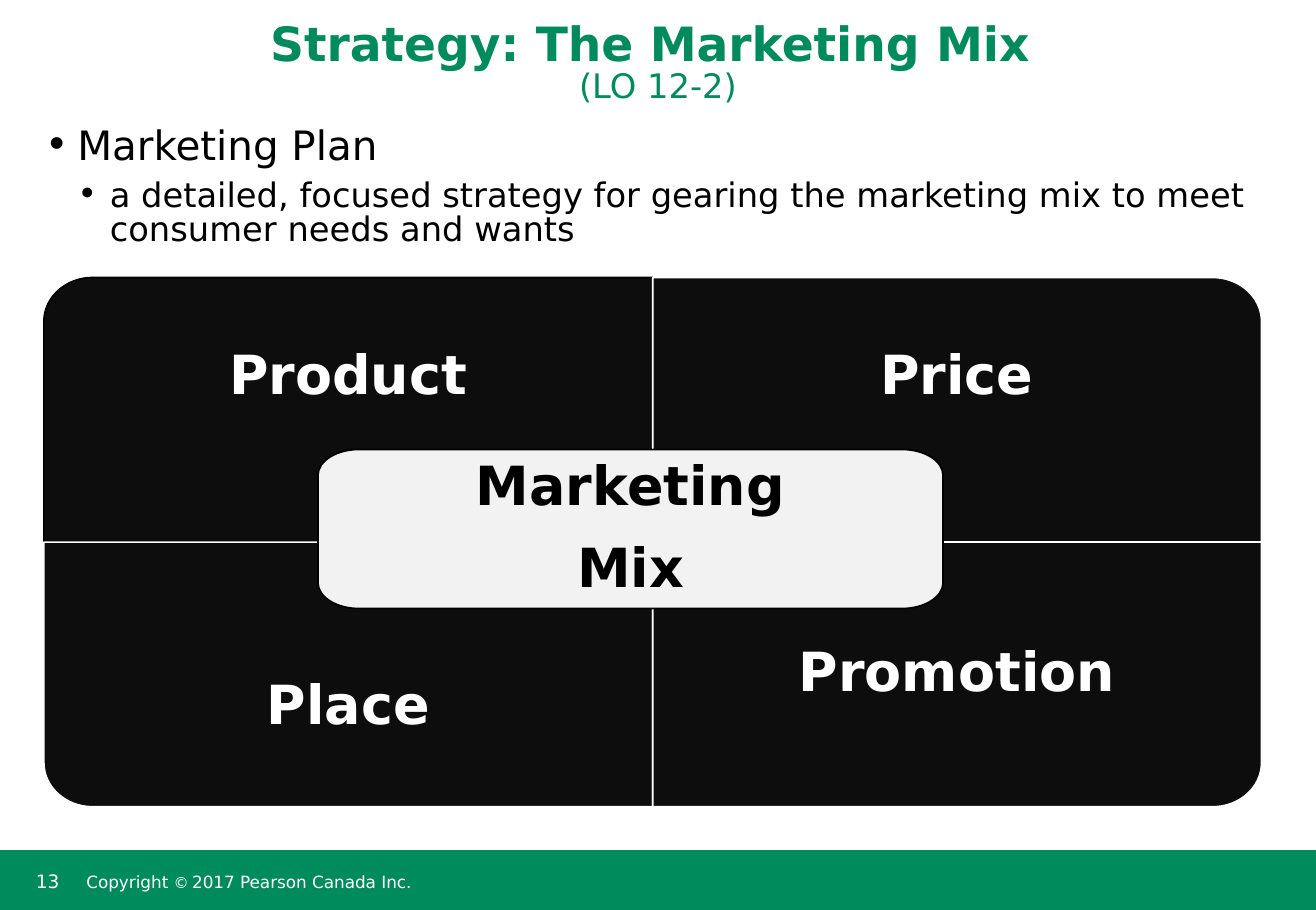
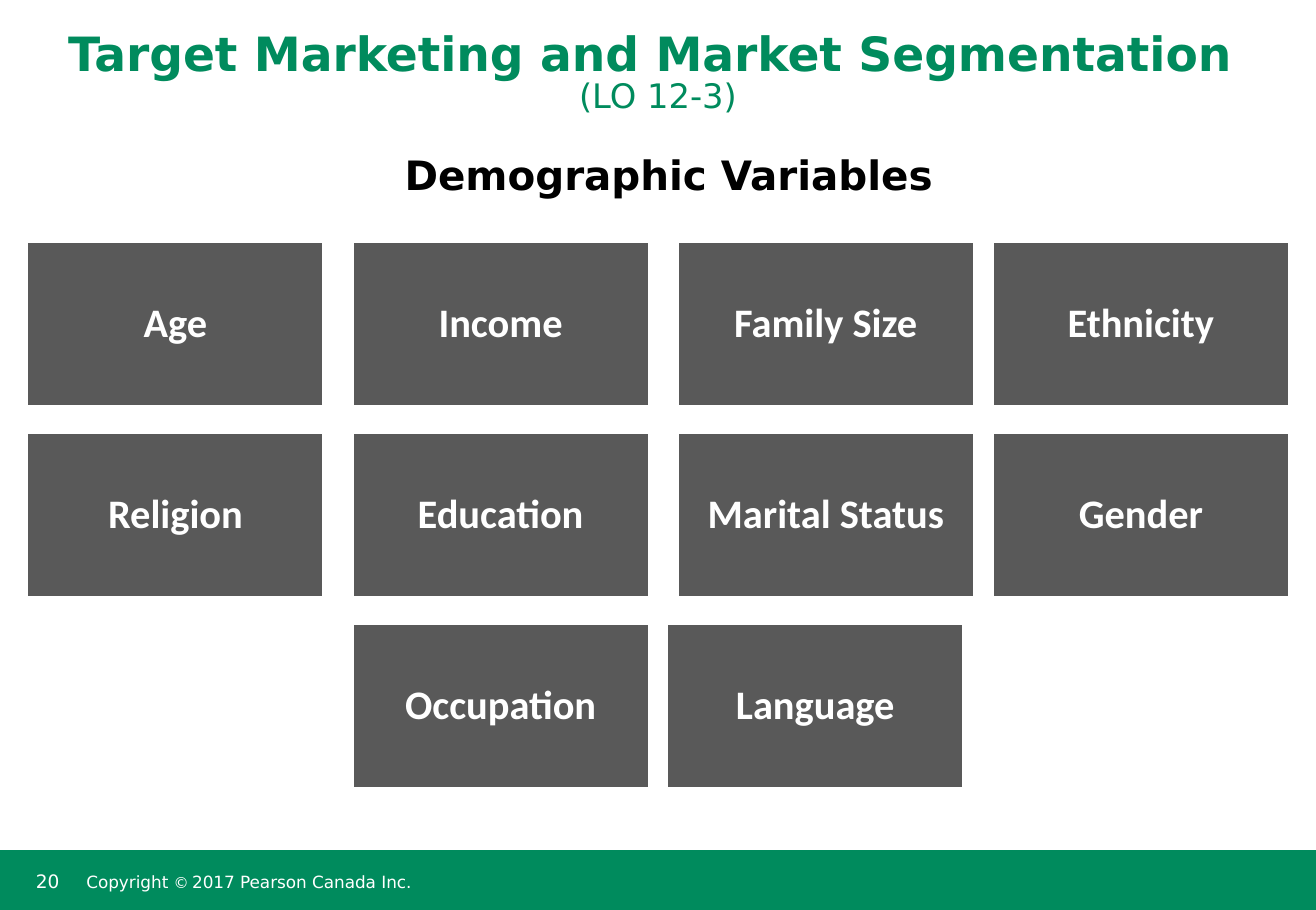
from dataclasses import dataclass

from lxml.etree import SubElement
from pptx import Presentation
from pptx.dml.color import RGBColor
from pptx.enum.shapes import MSO_SHAPE
from pptx.enum.text import MSO_ANCHOR, PP_ALIGN
from pptx.oxml.ns import qn
from pptx.util import Cm, Pt

GREEN = "008B5D"
WHITE = "FFFFFF"
BLACK = "000000"
CHARCOAL = "0D0D0D"
LIGHT_GREY = "F2F2F2"
DARK_GREY = "595959"
HEADING_FONT = "DejaVu Sans"
CARD_FONT = "Calibri"
SLIDE_WIDTH = 27.56
SLIDE_HEIGHT = 19.05
BULLET_INDENT = 0.68
CURVE_PULL = 0.55


@dataclass(frozen=True)
class Box:
    left: float
    top: float
    width: float
    height: float


@dataclass(frozen=True)
class TextRun:
    text: str
    size: float
    color: str = BLACK
    bold: bool = False
    font: str = HEADING_FONT
    break_after: bool = False


@dataclass(frozen=True)
class TextParagraph:
    runs: tuple[TextRun, ...]
    centered: bool = True
    line_spacing: float = 0.85
    space_after: float = 6.5
    bullet_level: int = 0


@dataclass(frozen=True)
class Insets:
    left: float = 0.25
    top: float = 0.13
    right: float = 0.25
    bottom: float = 0.13


@dataclass(frozen=True)
class Quadrant:
    label: str
    column: int
    row: int
    rounded_corner: int
    line: str
    insets: Insets


QUADRANTS = (
    Quadrant("Product", 0, 0, 0, BLACK, Insets(0.64, 0.64, 0.64, 2.01)),
    Quadrant("Price", 1, 0, 1, WHITE, Insets(0.64, 0.64, 0.64, 2.01)),
    Quadrant("Place", 0, 1, 3, WHITE, Insets(0.64, 2.01, 0.64, 0.64)),
    Quadrant("Promotion", 1, 1, 2, WHITE, Insets(0.64, 2.01, 0.64, 2.03)),
)

VARIABLE_ROWS = (
    ((0.58, "Age"), (7.39, "Income"), (14.2, "Family Size"), (20.8, "Ethnicity")),
    ((0.58, "Religion"), (7.39, "Education"), (14.2, "Marital Status"), (20.8, "Gender")),
    ((7.39, "Occupation"), (13.98, "Language")),
)


def rgb(color: str) -> RGBColor:
    return RGBColor.from_string(color)


def add_bullet(paragraph, level: int) -> None:
    properties = paragraph._p.get_or_add_pPr()
    properties.set("marL", str(Cm(BULLET_INDENT * level)))
    properties.set("indent", str(-Cm(BULLET_INDENT)))
    paragraph.level = level - 1
    color = SubElement(properties, qn("a:buClr"))
    SubElement(color, qn("a:srgbClr")).set("val", BLACK)
    SubElement(properties, qn("a:buFont")).set("typeface", HEADING_FONT)
    SubElement(properties, qn("a:buChar")).set("char", "•")


def write_text(shape, paragraphs: list[TextParagraph], anchor: MSO_ANCHOR,
               insets: Insets) -> None:
    frame = shape.text_frame
    frame.word_wrap = True
    frame.vertical_anchor = anchor
    frame.margin_left, frame.margin_top = Cm(insets.left), Cm(insets.top)
    frame.margin_right, frame.margin_bottom = Cm(insets.right), Cm(insets.bottom)
    for index, content in enumerate(paragraphs):
        paragraph = frame.add_paragraph() if index else frame.paragraphs[0]
        if content.bullet_level:
            add_bullet(paragraph, content.bullet_level)
        paragraph.alignment = PP_ALIGN.CENTER if content.centered else PP_ALIGN.LEFT
        paragraph.line_spacing = content.line_spacing
        paragraph.space_after = Pt(content.space_after)
        for item in content.runs:
            run = paragraph.add_run()
            run.text = item.text
            run.font.name = item.font
            run.font.size = Pt(item.size)
            run.font.bold = item.bold
            run.font.color.rgb = rgb(item.color)
            if item.break_after:
                paragraph.add_line_break()


def add_text(slide, box: Box, paragraphs: list[TextParagraph],
             anchor: MSO_ANCHOR = MSO_ANCHOR.TOP, insets: Insets = Insets()) -> None:
    shape = slide.shapes.add_textbox(
        Cm(box.left), Cm(box.top), Cm(box.width), Cm(box.height))
    write_text(shape, paragraphs, anchor, insets)


def paint(shape, fill: str, line: str | None = None) -> None:
    shape.shadow.inherit = False
    shape.fill.solid()
    shape.fill.fore_color.rgb = rgb(fill)
    if line is None:
        shape.line.fill.background()
    else:
        shape.line.color.rgb = rgb(line)
        shape.line.width = Pt(1)


def add_rectangle(slide, box: Box, fill: str, line: str | None = None):
    shape = slide.shapes.add_shape(
        MSO_SHAPE.RECTANGLE, Cm(box.left), Cm(box.top), Cm(box.width), Cm(box.height))
    paint(shape, fill, line)
    return shape


def add_segment(outline, tag: str, *points: tuple[float, float]) -> None:
    segment = SubElement(outline, qn(tag))
    for x, y in points:
        point = SubElement(segment, qn("a:pt"))
        point.set("x", str(Cm(x)))
        point.set("y", str(Cm(y)))


def toward(start: tuple[float, float], end: tuple[float, float]) -> tuple[float, float]:
    return (start[0] + CURVE_PULL * (end[0] - start[0]),
            start[1] + CURVE_PULL * (end[1] - start[1]))


def add_rounded_panel(slide, box: Box, rounded: tuple[int, ...], radius_x: float,
                      radius_y: float, fill: str, line: str):
    right, bottom = box.left + box.width, box.top + box.height
    builder = slide.shapes.build_freeform(Cm(box.left), Cm(box.top))
    builder.add_line_segments(
        [(Cm(right), Cm(box.top)), (Cm(right), Cm(bottom)), (Cm(box.left), Cm(bottom))])
    shape = builder.convert_to_shape()
    outline = next(shape._element.iter(qn("a:path")))
    for segment in list(outline):
        outline.remove(segment)
    for index, (is_right, is_bottom) in enumerate(((0, 0), (1, 0), (1, 1), (0, 1))):
        corner = (is_right * box.width, is_bottom * box.height)
        beside = (corner[0] + radius_x * (1 - 2 * is_right), corner[1])
        along = (corner[0], corner[1] + radius_y * (1 - 2 * is_bottom))
        start, end = (beside, along) if index % 2 else (along, beside)
        tag = "a:lnTo" if index else "a:moveTo"
        if index in rounded:
            add_segment(outline, tag, start)
            add_segment(outline, "a:cubicBezTo",
                        toward(start, corner), toward(end, corner), end)
        else:
            add_segment(outline, tag, corner)
    SubElement(outline, qn("a:close"))
    paint(shape, fill, line)
    return shape


def panel_label(text: str, color: str) -> TextParagraph:
    return TextParagraph((TextRun(text, 32, color, True),),
                         line_spacing=0.9, space_after=14)


def add_base_slide(presentation, number: str, title: str, objective: str,
                   title_height: float):
    slide = presentation.slides.add_slide(presentation.slide_layouts[6])
    add_rectangle(slide, Box(0, 17.8, SLIDE_WIDTH, 1.26), GREEN)
    add_text(slide, Box(0.5, 18.08, 1.2, 0.81), [TextParagraph(
        (TextRun(number, 11, WHITE),), centered=False, line_spacing=1, space_after=0)])
    copyright_runs = (
        TextRun("Copyright ", 10, WHITE),
        TextRun("©", 9, WHITE),
        TextRun(" ", 6, WHITE),
        TextRun("2017 Pearson Canada Inc.", 10, WHITE),
    )
    add_text(slide, Box(1.68, 17.81, 14.68, 1.26),
             [TextParagraph(copyright_runs, centered=False, space_after=0)],
             MSO_ANCHOR.MIDDLE, Insets(0.13, 0.25, 0.13, 0.13))
    title_runs = (
        TextRun(f"{title} ", 28, GREEN, True, break_after=True),
        TextRun(objective, 20, GREEN),
    )
    add_text(slide, Box(0, 0, SLIDE_WIDTH, title_height),
             [TextParagraph(title_runs)], MSO_ANCHOR.BOTTOM)
    return slide


def build_marketing_mix(presentation) -> None:
    slide = add_base_slide(
        presentation, "13", "Strategy: The Marketing Mix", "(LO 12-2)", 2.34)
    definition = ("a detailed, focused strategy for gearing the marketing mix "
                  "to meet consumer needs and wants")
    add_text(slide, Box(0.69, 2.54, 26.19, 3.6), [
        TextParagraph((TextRun("Marketing Plan", 24),), False, bullet_level=1),
        TextParagraph((TextRun(definition, 20),), False, bullet_level=2),
    ])
    width, height = 12.75, 5.54
    for quadrant in QUADRANTS:
        box = Box(0.92 + quadrant.column * width, 5.81 + quadrant.row * height,
                  width, height)
        panel = add_rounded_panel(slide, box, (quadrant.rounded_corner,), 1.02, 0.92,
                                  CHARCOAL, quadrant.line)
        write_text(panel, [panel_label(quadrant.label, WHITE)],
                   MSO_ANCHOR.MIDDLE, quadrant.insets)
    center = add_rounded_panel(slide, Box(6.66, 9.41, 13.09, 3.33), (0, 1, 2, 3),
                               0.86, 0.54, LIGHT_GREY, BLACK)
    write_text(center, [panel_label(word, BLACK) for word in ("Marketing", "Mix")],
               MSO_ANCHOR.MIDDLE, Insets(0.48, 0.48, 0.48, 0.48))


def build_segmentation(presentation) -> None:
    slide = add_base_slide(
        presentation, "20", "Target Marketing and Market Segmentation", "(LO 12-3)", 2.54)
    add_text(slide, Box(6.83, 3.16, 14.35, 1.9),
             [TextParagraph((TextRun("Demographic Variables", 24, bold=True),))])
    add_rectangle(slide, Box(0.13, 4.17, 27.1, 13.13), WHITE)
    for row, cards in enumerate(VARIABLE_ROWS):
        for left, label in cards:
            card = add_rectangle(slide, Box(left, 5.07 + row * 4, 6.19, 3.43),
                                 DARK_GREY, WHITE)
            write_text(card, [TextParagraph(
                (TextRun(label, 24, WHITE, True, CARD_FONT),),
                line_spacing=0.9, space_after=10.5)],
                MSO_ANCHOR.MIDDLE, Insets(0.25, 0.25, 0.25, 0.25))


def main() -> None:
    presentation = Presentation()
    presentation.slide_width = Cm(SLIDE_WIDTH)
    presentation.slide_height = Cm(SLIDE_HEIGHT)
    build_marketing_mix(presentation)
    build_segmentation(presentation)
    presentation.save("out.pptx")


if __name__ == "__main__":
    main()
